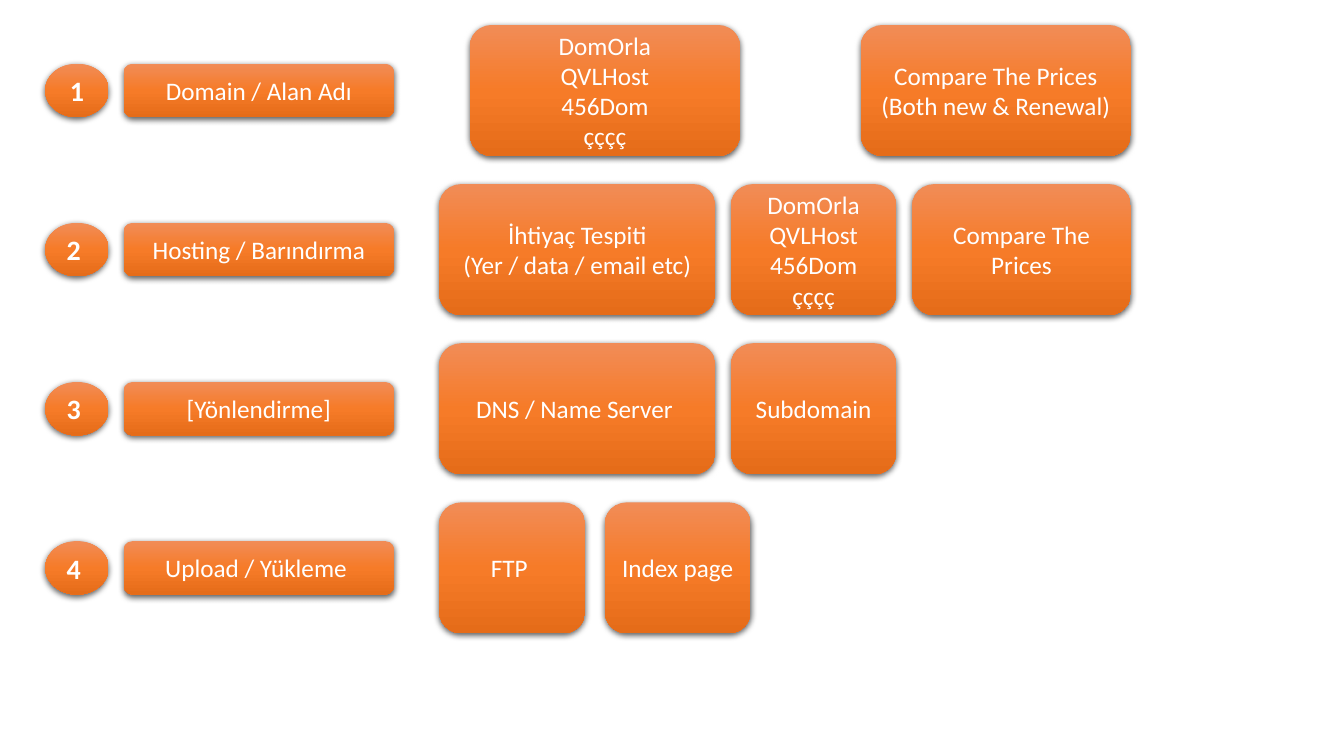
from copy import deepcopy

from lxml import etree
from pptx import Presentation
from pptx.dml.color import RGBColor
from pptx.enum import shapes, text
from pptx.oxml import ns
from pptx.util import Cm, Pt

WHITE = RGBColor(0xFF, 0xFF, 0xFF)
LIGHT = RGBColor(0xF1, 0x8C, 0x57)
ORANGE = RGBColor(0xF6, 0x7B, 0x28)
DARK = RGBColor(0xE5, 0x6C, 0x19)
BLACK = RGBColor(0, 0, 0)

OVAL = shapes.MSO_SHAPE.OVAL
CARD = shapes.MSO_SHAPE.FLOWCHART_ALTERNATE_PROCESS

TOP, PITCH = 0.63, 4.01
TALL, LOW = 3.3, 1.35
HOSTS = "DomOrla\nQVLHost\n456Dom\nçççç"

# Step name, then its cards as (left, width, words)
STEPS = [
    ("Domain / Alan Adı", [
        (11.84, 6.81, HOSTS),
        (21.69, 6.81, "Compare The Prices\n(Both new & Renewal)")]),
    ("Hosting / Barındırma", [
        (11.07, 6.96, "İhtiyaç Tespiti\n(Yer / data / email etc)"),
        (18.42, 4.17, HOSTS),
        (22.99, 5.51, "Compare The Prices")]),
    ("[Yönlendirme]", [
        (11.07, 6.96, "DNS / Name Server "),
        (18.42, 4.17, "Subdomain")]),
    ("Upload / Yükleme ", [
        (11.07, 3.68, "FTP "),
        (15.24, 3.68, "Index page ")]),
]


def shade(fill):
    """Fill from light at the top to dark at the bottom."""
    fill.gradient()
    fill.gradient_angle = 270
    first = fill.gradient_stops[0]._gs
    first.addnext(deepcopy(first))
    for stop, place, tone in zip(fill.gradient_stops, (0, 0.5, 1),
                                 (LIGHT, ORANGE, DARK)):
        stop.position = place
        stop.color.rgb = tone


def cast(shape):
    """Give the shape a soft shadow straight below it."""
    shape.shadow.inherit = False
    effects = shape._element.spPr.find(ns.qn("a:effectLst"))
    outer = etree.SubElement(
        effects, ns.qn("a:outerShdw"), blurRad=str(Pt(4.5)),
        dist=str(Pt(1.5)), dir="5400000", rotWithShape="0")
    tone = etree.SubElement(outer, ns.qn("a:srgbClr"), val=str(BLACK))
    etree.SubElement(tone, ns.qn("a:alpha"), val="63000")


def add_box(slide, kind, left, top, width, height, words, size=18, bold=False):
    box = slide.shapes.add_shape(kind, Cm(left), Cm(top), Cm(width), Cm(height))
    shade(box.fill)
    box.line.fill.background()
    cast(box)
    frame = box.text_frame
    frame.text = words
    frame.vertical_anchor = text.MSO_ANCHOR.MIDDLE
    for para in frame.paragraphs:
        para.alignment = text.PP_ALIGN.CENTER
        font = para.font
        font.name, font.size, font.bold = "Calibri", Pt(size), bold
        font.color.rgb = WHITE


def add_step(slide, index, name, cards):
    top = TOP + index * PITCH
    middle = top + (TALL - LOW) / 2
    number = "1" if index == 0 else f"{index + 1} "
    add_box(slide, OVAL, 1.14, middle, 1.6, LOW, number, 20, True)
    add_box(slide, CARD, 3.12, middle, 6.81, LOW, name)
    for left, width, words in cards:
        add_box(slide, CARD, left, top, width, TALL, words)


def main():
    deck = Presentation()
    deck.slide_width, deck.slide_height = Cm(33.87), Cm(19.05)
    slide = deck.slides.add_slide(deck.slide_layouts[6])
    for index, (name, cards) in enumerate(STEPS):
        add_step(slide, index, name, cards)
    deck.save("out.pptx")


if __name__ == "__main__":
    main()
